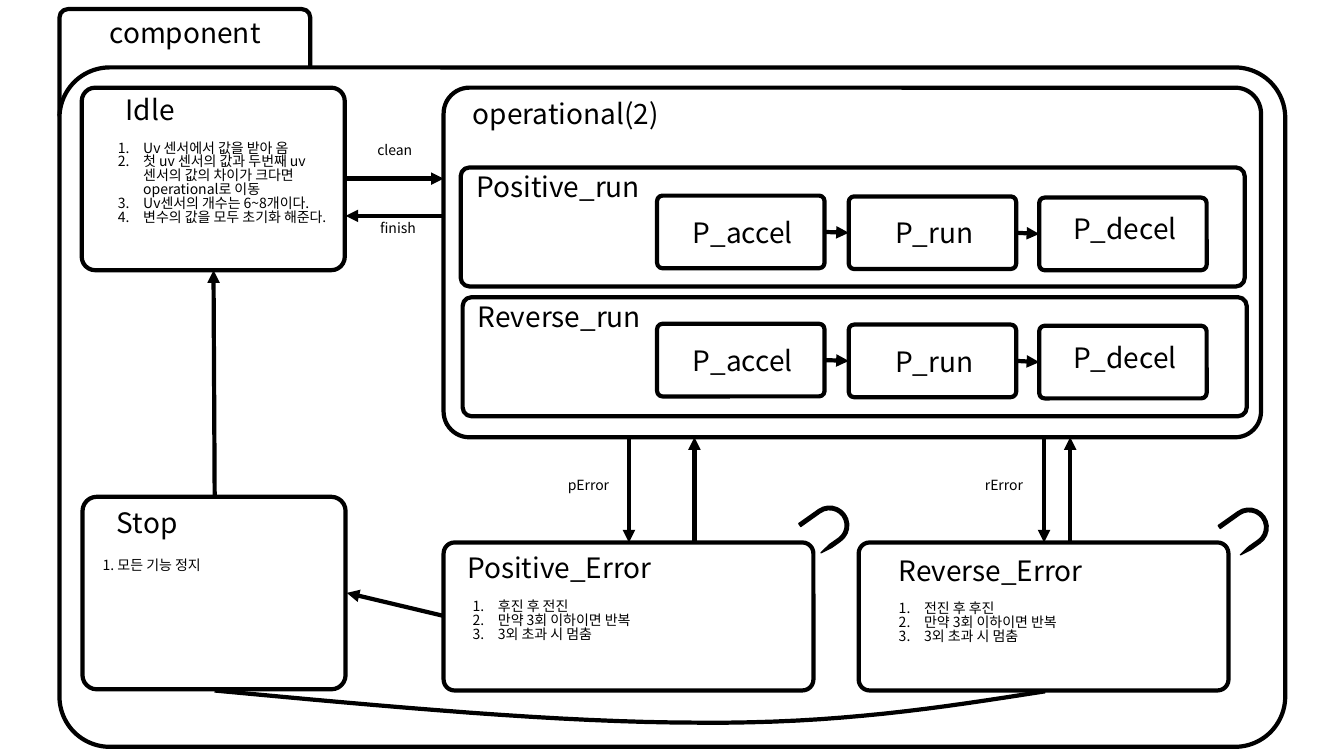
import pptx
import pptx.util
import pptx.oxml.ns
import pptx.dml.color
import pptx.enum.shapes
import pptx.enum.text
from lxml import etree

Cm, Pt = pptx.util.Cm, pptx.util.Pt
qn = pptx.oxml.ns.qn
SHAPES = pptx.enum.shapes.MSO_SHAPE
ALIGN = pptx.enum.text.PP_ALIGN
COLORS = {name: pptx.dml.color.RGBColor.from_string(value)
          for name, value in {"ink": "000000", "paper": "FFFFFF"}.items()}
FONT = "Noto Sans CJK KR"

presentation = pptx.Presentation()
presentation.slide_width, presentation.slide_height = Cm(33.87), Cm(19.05)
slide = presentation.slides.add_slide(presentation.slide_layouts[6])


def add_block(kind, box, fill, line_width, adjustments):
    shape = slide.shapes.add_shape(kind, *map(Cm, box))
    shape.shadow.inherit = False
    shape.fill.solid()
    shape.fill.fore_color.rgb = COLORS[fill]
    shape.line.color.rgb = COLORS["ink"]
    shape.line.width = Pt(line_width)
    for index, value in enumerate(adjustments):
        shape.adjustments[index] = value
    return shape


def add_text(box, lines, size, alignment, numbered=False):
    frame = slide.shapes.add_textbox(*map(Cm, box)).text_frame
    frame.word_wrap = True
    frame.text = "\n".join(lines)
    for paragraph in frame.paragraphs:
        for name, value in {"alignment": alignment, "line_spacing": 0.83}.items():
            setattr(paragraph, name, value)
        font = paragraph.runs[0].font
        for name, value in {"name": FONT, "size": Pt(size)}.items():
            setattr(font, name, value)
        font.color.rgb = COLORS["ink"]
        properties = paragraph.runs[0]._r.get_or_add_rPr()
        etree.SubElement(properties, qn("a:ea"), typeface=FONT)
        if numbered:
            properties = paragraph._p.get_or_add_pPr()
            properties.set("marL", str(Cm(0.64)))
            properties.set("indent", str(-Cm(0.64)))
            etree.SubElement(properties, qn("a:buFont"), typeface=FONT)
            etree.SubElement(properties, qn("a:buAutoNum"), type="arabicPeriod")


states = [
    (1.5, 0.23, 6.32, 2.87),
    (1.5, 1.7, 30.89, 17.12),
    (2.06, 2.21, 6.63, 4.6),
    (11.18, 2.21, 20.6, 8.81),
    (2.08, 12.52, 6.63, 4.85),
    (11.18, 13.67, 9.32, 3.73),
    (21.64, 13.67, 9.32, 3.73),
    (11.61, 4.22, 19.76, 3),
    (11.66, 7.49, 19.76, 3),
]
headings = [
    ("component", 2.01, 0.41, 5.31),
    ("operational(2)", 11.66, 2.44, 5.21),
    ("Idle", 1.63, 2.34, 4.32),
    ("Stop", 1.55, 12.75, 4.32),
    ("Positive_run", 11.3, 4.29, 5.54),
    ("Reverse_run", 11.33, 7.57, 5.54),
    ("Positive_Error", 11.33, 13.89, 5.54),
    ("Reverse_Error", 22.2, 13.97, 5.54),
]
arrows = [
    (8.71, 4.5, 11.18, 4.5),
    (11.18, 5.44, 8.71, 5.44),
    (11.18, 15.52, 8.74, 14.94),
    (5.41, 12.52, 5.38, 6.81),
    (15.85, 11.02, 15.85, 13.67),
    (17.5, 13.67, 17.5, 11.02),
    (26.31, 11.02, 26.31, 13.67),
    (26.97, 13.67, 26.97, 11.02),
]
steps = [
    ("P_accel", 16.56, 4.93, 0.51),
    ("P_run", 21.39, 4.95, 0.51),
    ("P_decel", 26.19, 4.98, 0.38),
]
step_width, step_height, row_pitch = 4.22, 1.83, 3.23

for row in range(2):
    shift = row * row_pitch
    for name, left, top, label_drop in steps:
        states.append((left, top + shift, step_width, step_height))
        headings.append((name, left + 0.13, top + shift + label_drop, 4.06))
    for (_, left, top, _), (_, next_left, next_top, _) in zip(steps, steps[1:]):
        middle = shift + step_height / 2
        arrows.append((left + step_width, top + middle, next_left, next_top + middle))

for box in states:
    add_block(SHAPES.ROUNDED_RECTANGLE, box, "paper", 3, [0.074])

for name, left, top, width in headings:
    add_text((left, top, width, 1.12), [name], 20, ALIGN.CENTER)

for name, left, top in [("clean", 7.92, 3.51), ("finish", 8, 5.49),
                        ("pError", 12.8, 11.96), ("rError", 23.27, 11.96)]:
    add_text((left, top, 4.06, 0.69), [name], 10, ALIGN.CENTER)

retry_rules = ["만약 3회 이하이면 반복", "3외 초과 시 멈춤"]
idle_rules = [
    "Uv 센서에서 값을 받아 옴",
    "첫 uv 센서의 값과 두번째 uv 센서의 값의 차이가 크다면 operational로 이동",
    "Uv센서의 개수는 6~8개이다.",
    "변수의 값을 모두 초기화 해준다.",
]
for box, rules in [
    ((2.72, 3.45, 5.79, 3.25), idle_rules),
    ((11.66, 15.01, 8.05, 1.55), ["후진 후 전진", *retry_rules]),
    ((22.4, 15.06, 8.05, 1.55), ["전진 후 후진", *retry_rules]),
]:
    add_text(box, rules, 10, ALIGN.LEFT, numbered=True)
add_text((2.34, 13.97, 5.99, 0.69), ["1. 모든 기능 정지"], 10, ALIGN.LEFT)

for ends in arrows:
    connector = slide.shapes.add_connector(
        pptx.enum.shapes.MSO_CONNECTOR.STRAIGHT, *map(Cm, ends))
    connector.line.color.rgb = COLORS["ink"]
    connector.line.width = Pt(3)
    etree.SubElement(connector.line._get_or_add_ln(), qn("a:tailEnd"), type="triangle")
    etree.SubElement(connector._element.spPr, qn("a:effectLst"))

curve = [(26.34, 17.42), (23.72, 17.83), (21.11, 18.24), (17.63, 18.21),
         (14.15, 18.21), (9.78, 17.81), (5.41, 17.4)]
points = []
for start in (0, 3):
    for step in range(1, 17):
        t = step / 16
        weights = [(1 - t) ** 3, 3 * t * (1 - t) ** 2, 3 * t ** 2 * (1 - t), t ** 3]
        points.append([Cm(sum(weight * point[axis] for weight, point
                              in zip(weights, curve[start:start + 4])))
                       for axis in range(2)])
builder = slide.shapes.build_freeform(*map(Cm, curve[0]))
builder.add_line_segments(points, close=False)
stop_link = builder.convert_to_shape()
stop_link.shadow.inherit = False
stop_link.fill.background()
stop_link.line.color.rgb = COLORS["ink"]
stop_link.line.width = Pt(3)

for left, top in [(20.37, 12.73), (30.94, 12.78)]:
    retry_loop = add_block(SHAPES.U_TURN_ARROW, (left, top, 0.97, 1.09), "ink", 1,
                           [0.25, 0.046, 0.305, 0.505, 0.972])
    retry_loop.rotation = 54.7

presentation.save("out.pptx")
